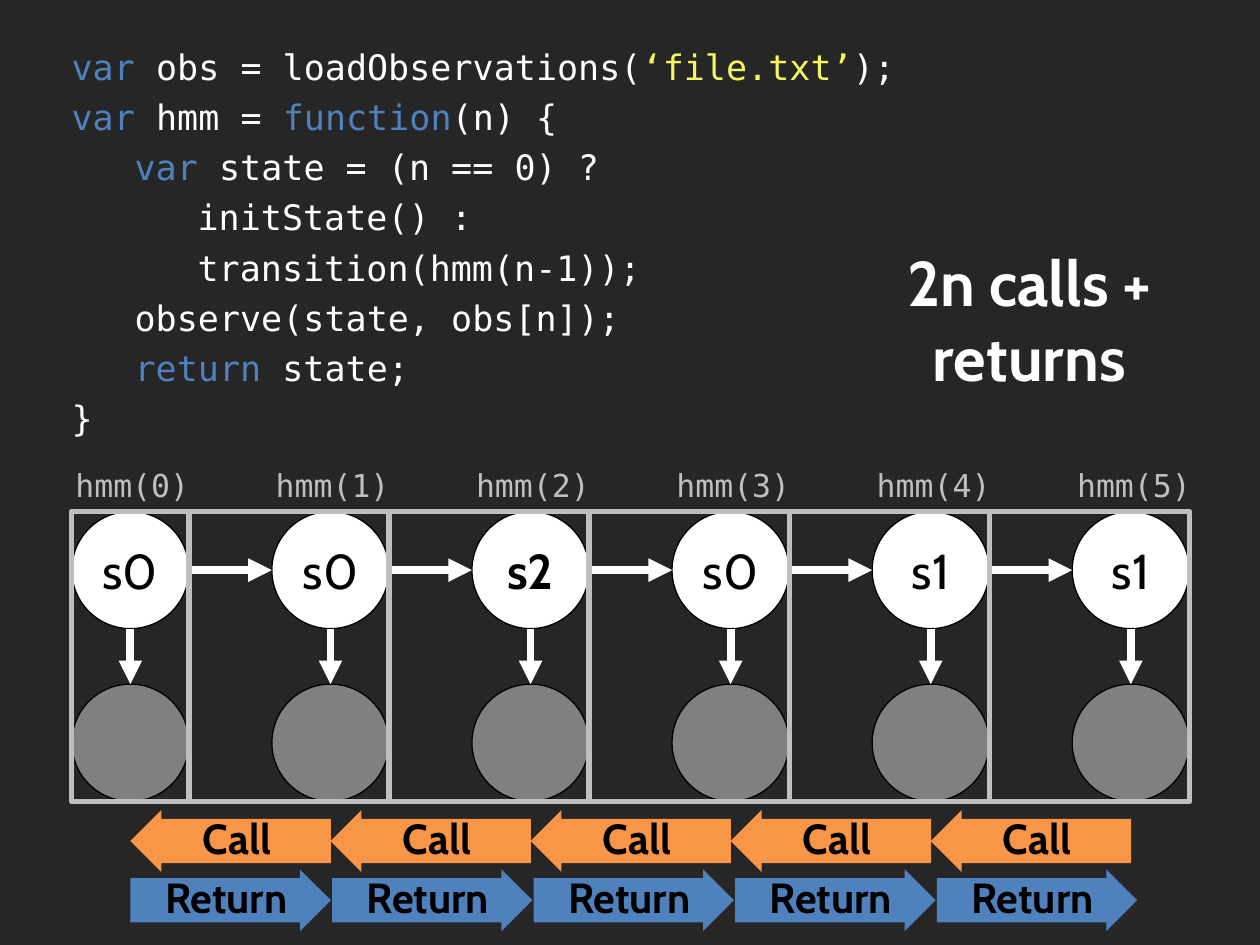
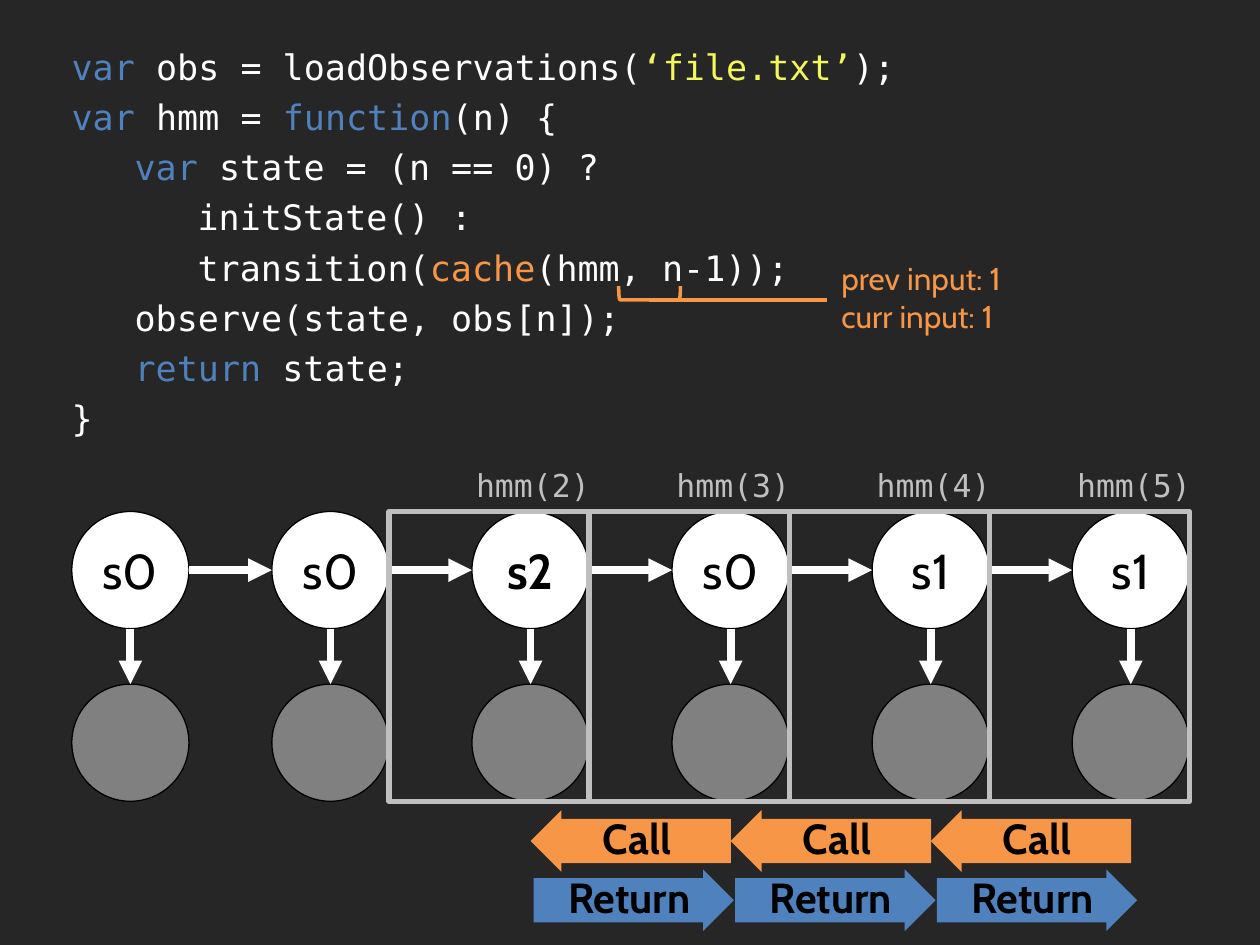
import pptx
import pptx.dml.color
import pptx.enum.shapes
import pptx.enum.text
import pptx.oxml
import pptx.oxml.ns
import pptx.util
from pptx.util import Inches

COLORS = {
    "background": "262626",
    "white": "FFFFFF",
    "black": "000000",
    "observed": "808080",
    "frame": "BFBFBF",
    "blue": "4F81BD",
    "orange": "F79646",
    "yellow": "F3F65C",
}
SANS = "Cabin"
MONO = "DejaVu Sans Mono"
SHAPES = pptx.enum.shapes.MSO_SHAPE
ALIGN = pptx.enum.text.PP_ALIGN

STATES = ["s0", "s0", "s2", "s0", "s1", "s1"]
HIGHLIGHTED_STATE = "s2"
COLUMNS = len(STATES)
FIRST_LEFT, LAST_LEFT = 0.57, 8.51
PITCH = (LAST_LEFT - FIRST_LEFT) / (COLUMNS - 1)
DIAMETER = 0.93
STATE_TOP, OBSERVED_TOP = 4.06, 5.43
FIRST_LABEL_CENTER, LABEL_PITCH = 1.05, 1.59
RETURN_PITCH = 1.6

PLAIN_TRANSITION = [("\t\ttransition(hmm(n-1));", "white")]
CACHED_TRANSITION = [("\t\ttransition(", "white"), ("cache", "orange"),
                     ("(hmm, n-1));", "white")]


def color(name):
    return pptx.dml.color.RGBColor.from_string(COLORS[name])


def place(left, top, width, height):
    return [Inches(length) for length in (left, top, width, height)]


def write(frame, paragraphs, size, font=SANS, ink="white", bold=False,
          align=ALIGN.LEFT, space_before=0, tab_stops=()):
    """Fill a text frame; a paragraph is a string or a list of (text, colour) spans."""
    frame.word_wrap = True
    for index, spans in enumerate(paragraphs):
        para = frame.add_paragraph() if index else frame.paragraphs[0]
        para.alignment = align
        para.space_before = pptx.util.Pt(space_before if index else 0)
        if tab_stops:
            add_tab_stops(para, tab_stops)
        if isinstance(spans, str):
            spans = [(spans, ink)]
        for text, span_ink in spans:
            span = para.add_run()
            span.text = text
            span.font.size = pptx.util.Pt(size)
            span.font.name = font
            span.font.bold = bold
            span.font.color.rgb = color(span_ink)


def add_tab_stops(para, positions):
    stops = pptx.oxml.ns.qn("a:tabLst")
    tab_list = para._p.get_or_add_pPr().makeelement(stops, {})
    for position in positions:
        stop = tab_list.makeelement(pptx.oxml.ns.qn("a:tab"),
                                    {"pos": str(Inches(position)), "algn": "l"})
        tab_list.append(stop)
    para._p.get_or_add_pPr().append(tab_list)


def add_text(page, at, paragraphs, size, **text_format):
    box = page.shapes.add_textbox(*place(*at))
    write(box.text_frame, paragraphs, size, **text_format)


def add_shape(page, kind, at, fill=None, line=None, line_width=0.75):
    shape = page.shapes.add_shape(kind, *place(*at))
    shape.shadow.inherit = False
    if fill:
        shape.fill.solid()
        shape.fill.fore_color.rgb = color(fill)
    else:
        shape.fill.background()
    if line:
        shape.line.color.rgb = color(line)
        shape.line.width = pptx.util.Pt(line_width)
    else:
        shape.line.fill.background()
    return shape


def add_line(page, start, end, ink, width, arrow=False):
    line = page.shapes.add_connector(
        pptx.enum.shapes.MSO_CONNECTOR.STRAIGHT, *place(*start, *end))
    line.line.color.rgb = color(ink)
    line.line.width = pptx.util.Pt(width)
    if arrow:
        outline = line.line._get_or_add_ln()
        outline.append(outline.makeelement(pptx.oxml.ns.qn("a:tailEnd"),
                                           {"type": "triangle"}))
    properties = line._element.spPr
    properties.append(properties.makeelement(pptx.oxml.ns.qn("a:effectLst"), {}))


def column_left(column):
    return FIRST_LEFT + column * PITCH


def column_center(column):
    return column_left(column) + DIAMETER / 2


def add_page(deck):
    page = deck.slides.add_slide(deck.slide_layouts[6])
    page.background.fill.solid()
    page.background.fill.fore_color.rgb = color("background")
    return page


def add_code(page, transition):
    lines = [
        [("var ", "blue"), ("obs = loadObservations(", "white"),
         ("‘file.txt’", "yellow"), (");", "white")],
        [("var ", "blue"), ("hmm = ", "white"), ("function", "blue"),
         ("(n) {", "white")],
        [("\t", "white"), ("var ", "blue"), ("state = (n == 0) ?", "white")],
        "\t\tinitState() :",
        transition,
        "\tobserve(state, obs[n]);",
        [("\t", "white"), ("return ", "blue"), ("state;", "white")],
        "}",
    ]
    add_text(page, (0.47, 0.31, 7.28, 3.44), lines, 20, font=MONO,
             space_before=4.7, tab_stops=(0.5, 1))


def add_chain(page):
    """Draw the hidden states, their observations and the arrows between them."""
    for column, state in enumerate(STATES):
        left, center = column_left(column), column_center(column)
        circle = add_shape(page, SHAPES.OVAL, (left, STATE_TOP, DIAMETER, DIAMETER),
                           fill="white", line="black")
        circle.text_frame.vertical_anchor = pptx.enum.text.MSO_ANCHOR.MIDDLE
        write(circle.text_frame, [state], 28, ink="black",
              bold=state == HIGHLIGHTED_STATE, align=ALIGN.CENTER)
        add_shape(page, SHAPES.OVAL, (left, OBSERVED_TOP, DIAMETER, DIAMETER),
                  fill="observed", line="black")
        add_line(page, (center, STATE_TOP + DIAMETER), (center, OBSERVED_TOP),
                 "white", 4.5, arrow=True)
        if column:
            middle = STATE_TOP + DIAMETER / 2
            add_line(page, (column_left(column - 1) + DIAMETER, middle),
                     (left, middle), "white", 4.5, arrow=True)


def add_call_frame(page, column):
    right = column_left(column) + DIAMETER
    width = PITCH if column else DIAMETER
    add_shape(page, SHAPES.RECTANGLE,
              (right - width, STATE_TOP, width, OBSERVED_TOP + DIAMETER - STATE_TOP),
              line="frame", line_width=3)
    label_width = 1.36
    label_left = FIRST_LABEL_CENTER + column * LABEL_PITCH - label_width / 2
    add_text(page, (label_left, 3.65, label_width, 0.4), [f"hmm({column})"], 18,
             font=MONO, ink="frame", align=ALIGN.CENTER)


def add_step_arrow(page, kind, left, top, fill, caption, caption_offset, caption_width):
    arrow = add_shape(page, kind, (left, top, 1.59, 0.49), fill=fill)
    arrow.adjustments[0] = 0.72
    arrow.adjustments[1] = 0.5
    add_text(page, (left + caption_offset, top - 0.03, caption_width, 0.5), [caption],
             24, ink="black", bold=True, align=ALIGN.CENTER)


def add_calls_from(page, first_frame, first_step):
    """Draw call frames and call/return arrows from the given columns to the last."""
    for column in range(first_frame, COLUMNS):
        add_call_frame(page, column)
    for step in range(first_step, COLUMNS - 1):
        add_step_arrow(page, SHAPES.LEFT_ARROW, column_center(step), 6.43,
                       "orange", "Call", 0.27, 1.15)
        add_step_arrow(page, SHAPES.RIGHT_ARROW, column_center(0) + step * RETURN_PITCH,
                       6.9, "blue", "Return", 0.05, 1.42)


def add_cache_note(page):
    bracket = add_shape(page, SHAPES.RIGHT_BRACKET, (5.1, 2.08, 0.11, 0.49),
                        line="orange", line_width=2)
    bracket.rotation = 90
    add_line(page, (5.15, 2.38), (6.56, 2.38), "orange", 2)
    add_text(page, (6.58, 2.01, 2, 0.71), ["prev input: 1", "curr input: 1"], 18,
             ink="orange")


def add_uncached_page(deck):
    page = add_page(deck)
    add_chain(page)
    add_calls_from(page, first_frame=0, first_step=0)
    add_text(page, (6.74, 1.88, 2.86, 1.31), ["2n calls + returns"], 36,
             bold=True, align=ALIGN.CENTER)
    add_code(page, PLAIN_TRANSITION)


def add_cached_page(deck):
    page = add_page(deck)
    add_code(page, CACHED_TRANSITION)
    add_chain(page)
    add_cache_note(page)
    add_calls_from(page, first_frame=2, first_step=2)


def main():
    deck = pptx.Presentation()
    deck.slide_width = Inches(10)
    deck.slide_height = Inches(7.5)
    add_uncached_page(deck)
    add_cached_page(deck)
    deck.save("out.pptx")


if __name__ == "__main__":
    main()
